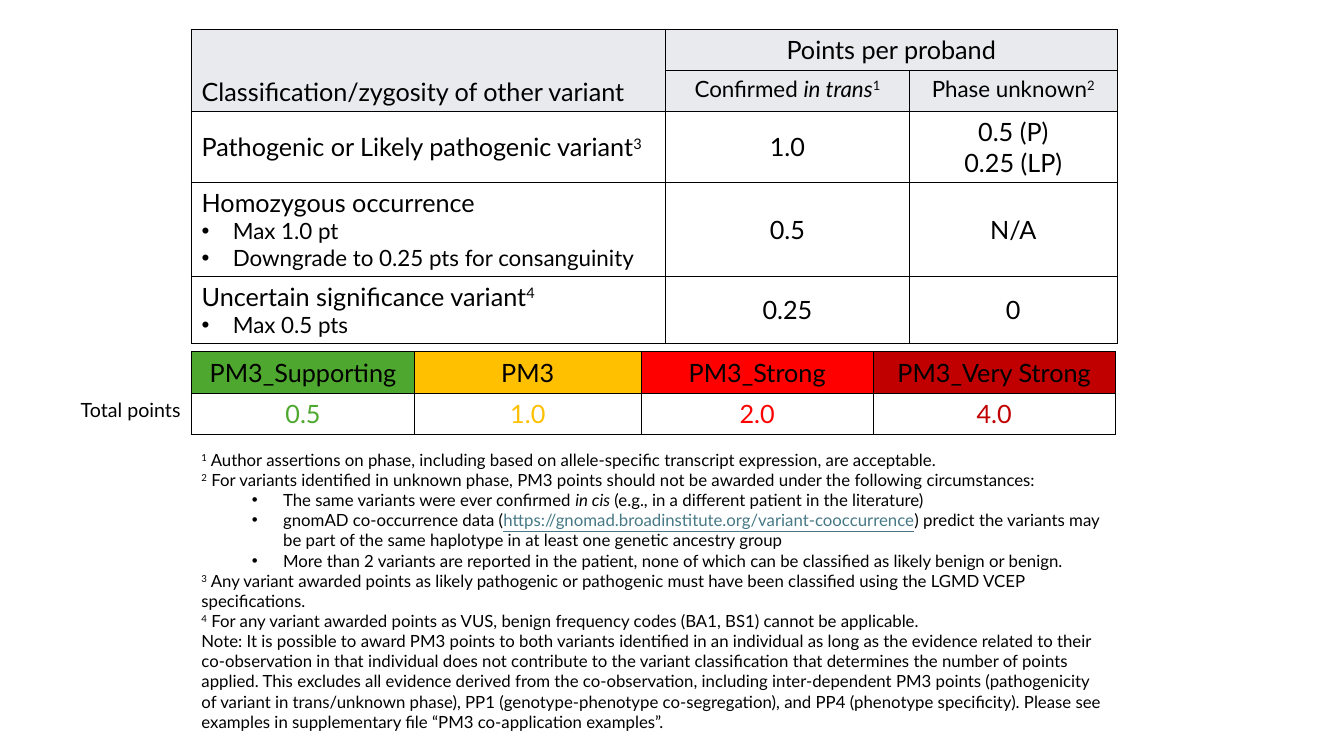
from dataclasses import dataclass

from lxml import etree
from pptx import Presentation
from pptx.dml.color import RGBColor
from pptx.enum.text import MSO_ANCHOR, PP_ALIGN
from pptx.oxml.ns import qn
from pptx.util import Pt

LEFT, CENTER = PP_ALIGN.LEFT, PP_ALIGN.CENTER
TOP, MIDDLE, BOTTOM = MSO_ANCHOR.TOP, MSO_ANCHOR.MIDDLE, MSO_ANCHOR.BOTTOM
PX = 9144  # 100 px to the inch
NO_STYLE = "{2D5ABB26-0587-4C30-8999-92F81FD0307C}"


@dataclass(frozen=True)
class Theme:
    font: str = "Lato"
    ink: str = "000000"
    header: str = "E8EAED"
    link: str = "467886"
    large: int = 18
    medium: int = 16
    label: int = 14
    note: int = 12


THEME = Theme()


@dataclass
class Line:
    """A paragraph; each span is plain text or a (text, "sup" | "italic" | "link") pair."""
    spans: list
    size: int = THEME.large
    color: str = THEME.ink
    bullet: bool = False


def bullet(text):
    return Line([text], THEME.medium, bullet=True)


def note(*spans, listed=False):
    return Line(spans, THEME.note, bullet=listed)


def sup(mark):
    return mark, "sup"


POINT_HEADS = [
    [[Line(["Classification/zygosity of other variant"])], [Line(["Points per proband"])], []],
    [[], [Line(["Confirmed ", ("in trans", "italic"), sup("1")], THEME.medium)],
     [Line(["Phase unknown", sup("2")], THEME.medium)]],
]
POINT_ROWS = [
    [[Line(["Pathogenic or Likely pathogenic variant", sup("3")])],
     [Line(["1.0"])], [Line(["0.5 (P)"]), Line(["0.25 (LP)"])]],
    [[Line(["Homozygous occurrence"]), bullet("Max 1.0 pt"),
      bullet("Downgrade to 0.25 pts for consanguinity")],
     [Line(["0.5"])], [Line(["N/A"])]],
    [[Line(["Uncertain significance variant", sup("4")]), bullet("Max 0.5 pts")],
     [Line(["0.25"])], [Line(["0"])]],
]
STRENGTHS = [
    ("PM3_Supporting", "0.5", "4EA72E"),
    ("PM3", "1.0", "FFC000"),
    ("PM3_Strong", "2.0", "FF0000"),
    ("PM3_Very Strong", "4.0", "C00000"),
]
FOOTNOTES = [
    note(sup("1"), " Author assertions on phase, including based on allele-specific transcript "
         "expression, are acceptable."),
    note(sup("2"), " For variants identified in unknown phase, PM3 points should not be awarded "
         "under the following circumstances:"),
    note("The same variants were ever confirmed ", ("in cis", "italic"),
         " (e.g., in a different patient in the literature)", listed=True),
    note("gnomAD co-occurrence data (",
         ("https://gnomad.broadinstitute.org/variant-cooccurrence", "link"),
         ") predict the variants may be part of the same haplotype in at least one genetic "
         "ancestry group", listed=True),
    note("More than 2 variants are reported in the patient, none of which can be classified as "
         "likely benign or benign.", listed=True),
    note(sup("3"), " Any variant awarded points as likely pathogenic or pathogenic must have been "
         "classified using the LGMD VCEP specifications."),
    note(sup("4"), " For any variant awarded points as VUS, benign frequency codes (BA1, BS1) "
         "cannot be applicable."),
    note("Note: It is possible to award PM3 points to both variants identified in an individual "
         "as long as the evidence related to their co-observation in that individual does not "
         "contribute to the variant classification that determines the number of points applied. "
         "This excludes all evidence derived from the co-observation, including inter-dependent "
         "PM3 points (pathogenicity of variant in trans/unknown phase), PP1 (genotype-phenotype "
         "co-segregation), and PP4 (phenotype specificity). Please see examples in supplementary "
         "file “PM3 co-application examples”."),
]


def px(*lengths):
    return [length * PX for length in lengths]


def write(frame, lines, align=LEFT, bullet_indent=31):
    for index, line in enumerate(lines):
        para = frame.paragraphs[0] if index == 0 else frame.add_paragraph()
        para.alignment = align
        if line.bullet:
            properties = para._p.get_or_add_pPr()
            properties.set("marL", str(bullet_indent * PX))
            properties.set("indent", str(-31 * PX))
            etree.SubElement(properties, qn("a:buFont")).set("typeface", "Arial")
            etree.SubElement(properties, qn("a:buChar")).set("char", "•")
        para.font.name = THEME.font
        para.font.size = Pt(line.size)
        para.font.color.rgb = RGBColor.from_string(line.color)
        for item in line.spans:
            text, style = (item, "") if isinstance(item, str) else item
            span = para.add_run()
            span.text = text
            if style == "sup":
                span._r.get_or_add_rPr().set("baseline", "30000")
            elif style == "italic":
                span.font.italic = True
            elif style == "link":
                span.font.underline = True
                span.font.color.rgb = RGBColor.from_string(THEME.link)


def fill_cell(cell, lines, align=LEFT, anchor=TOP, fill=None, sides="LRTB"):
    write(cell.text_frame, lines, align)
    cell.vertical_anchor = anchor
    properties = cell._tc.get_or_add_tcPr()
    for side in sides:
        border = etree.SubElement(properties, qn(f"a:ln{side}"), w=str(Pt(1)))
        solid = etree.SubElement(border, qn("a:solidFill"))
        etree.SubElement(solid, qn("a:srgbClr"), val=THEME.ink)
    if fill:
        cell.fill.solid()
        cell.fill.fore_color.rgb = RGBColor.from_string(fill)
    else:
        cell.fill.background()


def add_grid(page, left, top, widths, heights):
    """Add a table without built-in style or banding."""
    place = px(left, top, sum(widths), sum(heights))
    table = page.shapes.add_table(len(heights), len(widths), *place).table
    table.first_row = table.horz_banding = False
    table._tbl.tblPr.find(qn("a:tableStyleId")).text = NO_STYLE
    for column, width in zip(table.columns, px(*widths)):
        column.width = width
    for row, height in zip(table.rows, px(*heights)):
        row.height = height
    return table


def add_points(page):
    table = add_grid(page, 190, 29, [470, 242, 206], [41, 41, 70, 92, 67])
    for r, row in enumerate(POINT_HEADS + POINT_ROWS):
        is_head = r < len(POINT_HEADS)
        for c, lines in enumerate(row):
            if is_head:
                anchor = TOP if c else BOTTOM
            else:
                anchor = TOP if c == 0 and len(lines) > 1 else MIDDLE
            fill_cell(table.cell(r, c), lines, CENTER if c else LEFT, anchor,
                      THEME.header if is_head else None)
    table.cell(0, 0).merge(table.cell(1, 0))
    table.cell(0, 1).merge(table.cell(0, 2))


def add_strengths(page):
    table = add_grid(page, 70, 349, [120, 221, 225, 230, 240], [41, 41])
    fill_cell(table.cell(0, 0), [], sides="R")
    fill_cell(table.cell(1, 0), [Line(["Total points"], THEME.label)], sides="R")
    for c, (name, total, color) in enumerate(STRENGTHS, 1):
        fill_cell(table.cell(0, c), [Line([name])], CENTER, MIDDLE, color)
        fill_cell(table.cell(1, c), [Line([total], color=color)], CENTER)


def add_footnotes(page):
    box = page.shapes.add_textbox(*px(190, 441, 917, 293))
    box.text_frame.word_wrap = True
    write(box.text_frame, FOOTNOTES, bullet_indent=81)


def main():
    deck = Presentation()
    deck.slide_width, deck.slide_height = px(1333, 750)
    page = deck.slides.add_slide(deck.slide_layouts[6])
    add_points(page)
    add_strengths(page)
    add_footnotes(page)
    deck.save("out.pptx")


if __name__ == "__main__":
    main()
